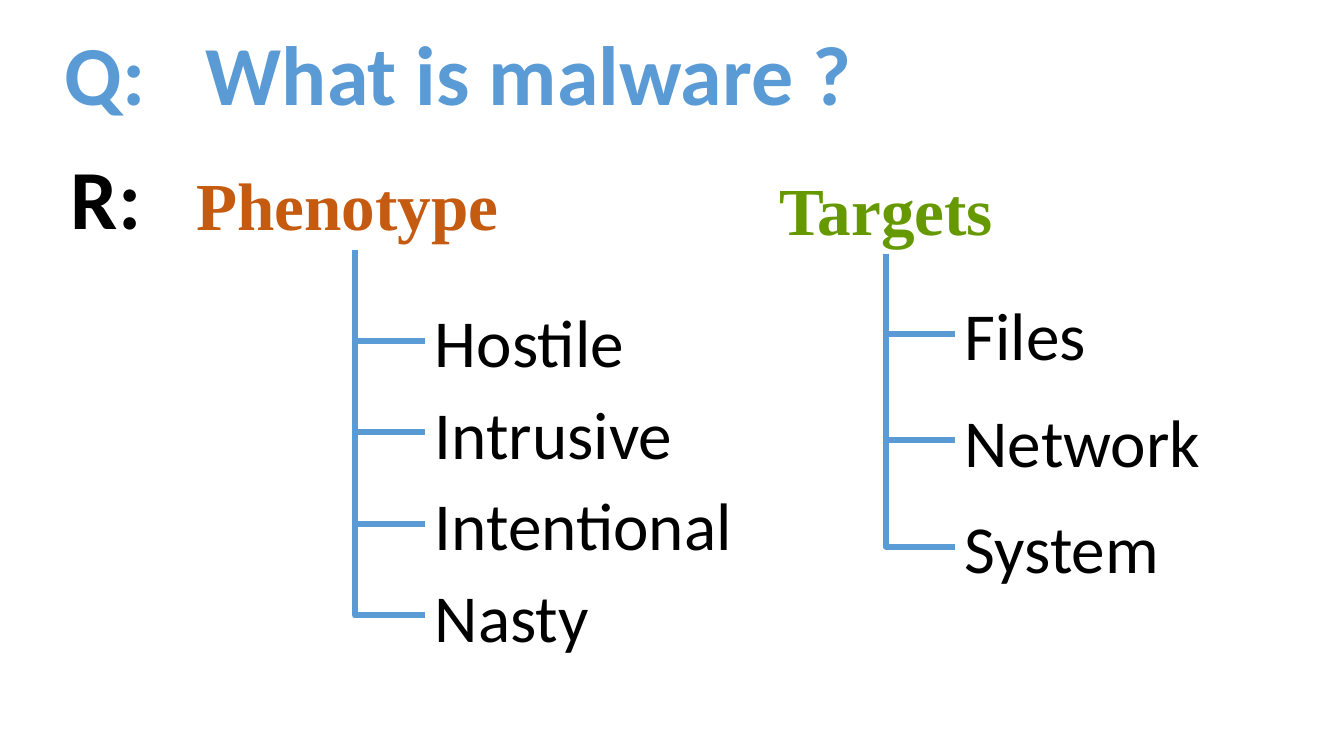
from lxml import etree
from pptx import Presentation
from pptx.dml.color import RGBColor
from pptx.enum.shapes import MSO_CONNECTOR
from pptx.enum.text import MSO_ANCHOR, PP_ALIGN
from pptx.oxml.ns import qn
from pptx.util import Pt

ELBOW = MSO_CONNECTOR.ELBOW
MIDDLE = MSO_ANCHOR.MIDDLE
LEFT, CENTER = PP_ALIGN.LEFT, PP_ALIGN.CENTER
BLUE, BLACK, ORANGE, GREEN = "5B9BD5", "000000", "C55A11", "669900"
SANS, SERIF = "Calibri", "Times New Roman"
ROW_H = 65.4


def rgb(value):
    return RGBColor.from_string(value)


def add_text(s, box, text, size, color, font=SANS, bold=False, align=LEFT, tab=None):
    tb = s.shapes.add_textbox(*map(Pt, box))
    tf = tb.text_frame
    tf.word_wrap = True
    tf.vertical_anchor = MIDDLE
    p = tf.paragraphs[0]
    p.alignment = align
    if tab:
        tabs = etree.SubElement(p._p.get_or_add_pPr(), qn("a:tabLst"))
        etree.SubElement(tabs, qn("a:tab"), pos=str(Pt(tab)), algn="l")
    r = p.add_run()
    r.text = text
    r.font.size = Pt(size)
    r.font.name = font
    r.font.bold = bold
    r.font.color.rgb = rgb(color)


def add_elbow(s, x, y, w, h):
    """Line going down by h, then right by w."""
    # The preset bends right then down, so it is turned and mirrored about its centre
    left, top = x + (w - h) / 2, y + (h - w) / 2
    c = s.shapes.add_connector(ELBOW, Pt(left), Pt(top), Pt(left + h), Pt(top + w))
    c.line.color.rgb = rgb(BLUE)
    c.line.width = Pt(4.25)
    sp_pr = c._element.spPr
    sp_pr.find(qn("a:prstGeom")).set("prst", "bentConnector2")
    xfrm = sp_pr.find(qn("a:xfrm"))
    xfrm.set("rot", "16200000")
    xfrm.set("flipH", "1")
    etree.SubElement(sp_pr, qn("a:effectLst"))


def add_question(s, x, y, w, h):
    add_text(s, (x, y, w, h), "Q:\tWhat is malware ?", 60, BLUE, bold=True, tab=101)


def add_tree(s, box, heading, color, align, items, first, step, branch):
    """Heading with a stem below the middle of its box and one branch per item."""
    x, y, w, h = box
    add_text(s, box, heading, 48, color, SERIF, True, align)
    stem_x, stem_y = x + w / 2, y + h
    for i, item in enumerate(items):
        drop = first + i * step
        add_elbow(s, stem_x, stem_y, branch, drop)
        add_text(s, (stem_x + branch, stem_y + drop - ROW_H / 2, 232, ROW_H),
                 item, 48, BLACK)


def main():
    prs = Presentation()
    prs.slide_width, prs.slide_height = Pt(960), Pt(540)
    s = prs.slides.add_slide(prs.slide_layouts[6])

    # Question and answer label
    add_question(s, 39, 11.5, 620, 80)
    add_text(s, (43.5, 100, 80, 80), "R:", 60, BLACK, bold=True)

    # Two trees of the answer
    add_tree(s, (133, 113, 241, ROW_H), "Phenotype", ORANGE, LEFT,
             ["Hostile", "Intrusive", "Intentional", "Nasty"], 65, 65.4, 50)
    add_tree(s, (512, 116, 242, ROW_H), "Targets", GREEN, CENTER,
             ["Files", "Network", "System"], 57, 76, 49)

    prs.save("out.pptx")


if __name__ == "__main__":
    main()
